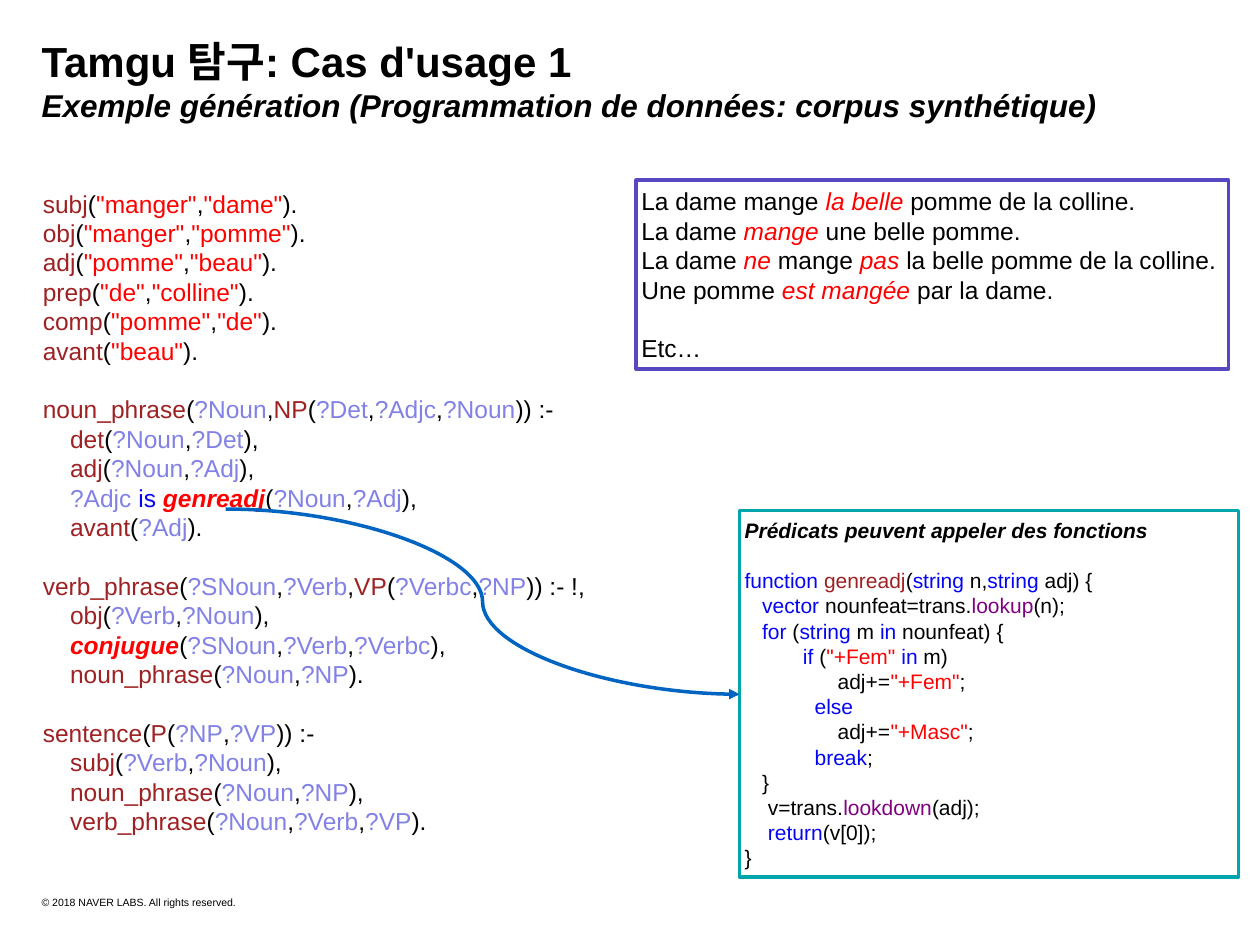
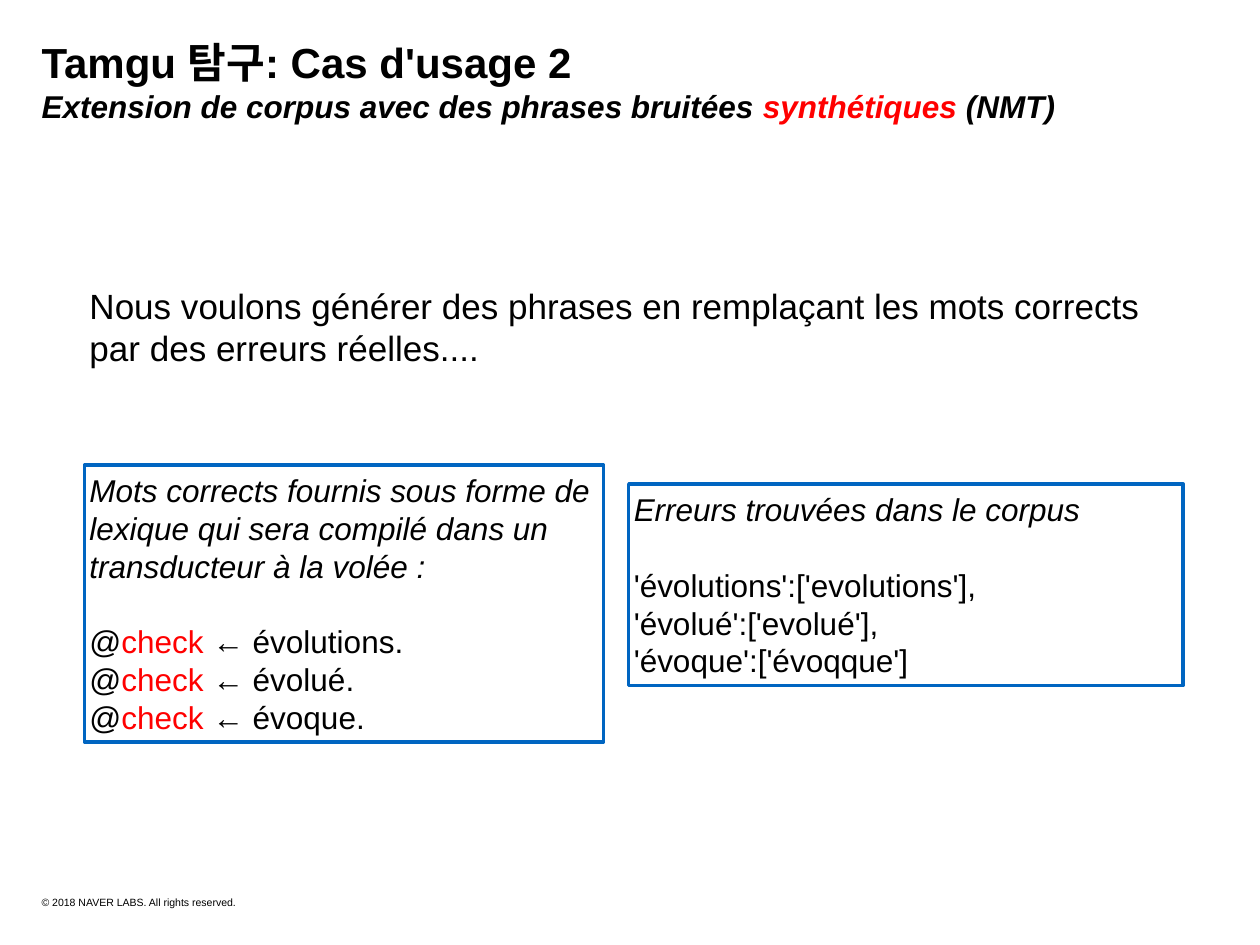
"""Build two slides on generating synthetic corpora with Tamgu."""
import pptx
import pptx.dml.color
import pptx.enum.shapes
import pptx.enum.text
import pptx.oxml
import pptx.oxml.ns
import pptx.util

Inches, Pt = pptx.util.Inches, pptx.util.Pt
ANCHOR = pptx.enum.text.MSO_ANCHOR

BLACK, WHITE, RED = "000000", "FFFFFF", "FF0000"
BLUE, PURPLE, TEAL = "0065C1", "5747C1", "00A6AC"

# Each tag "<key text>" maps to colour, bold, italic.
STYLES = {
    "": (BLACK, False, False),
    "m": ("9E2123", False, False),
    "s": (RED, False, False),
    "v": ("8282E6", False, False),
    "k": ("0505F5", False, False),
    "f": ("800080", False, False),
    "i": (RED, False, True),
    "n": (BLACK, False, True),
    "b": (BLACK, True, False),
    "h": (BLACK, True, True),
    "e": (RED, True, True),
}


def rgb(value):
    """Turn a hex string into a colour."""
    return pptx.dml.color.RGBColor.from_string(value)


def write(tf, lines, size, inset=0.04, anchor=ANCHOR.MIDDLE, first_size=None):
    """Fill a text frame with tagged lines; an empty line becomes space before the next."""
    tf.word_wrap = True
    tf.auto_size = pptx.enum.text.MSO_AUTO_SIZE.NONE
    tf.vertical_anchor = anchor
    tf.margin_left = tf.margin_right = tf.margin_top = tf.margin_bottom = Inches(inset)
    gap = 0
    p = None
    for line in lines:
        if not line:
            gap = 1.2 * size
            continue
        pt = first_size if first_size and p is None else size
        p = tf.paragraphs[0] if p is None else tf.add_paragraph()
        p.alignment = pptx.enum.text.PP_ALIGN.LEFT
        p.line_spacing = Pt(1.2 * pt)
        p.space_before = Pt(gap)
        gap = 0
        plain, *tagged = line.split("<")
        pieces = [("", plain)]
        for piece in tagged:
            tag, _, rest = piece.partition(">")
            pieces += [(tag[0], tag[2:]), ("", rest)]
        for key, text in pieces:
            if text:
                r = p.add_run()
                r.text = text
                r.font.name = "Arial"
                r.font.size = Pt(pt)
                colour, r.font.bold, r.font.italic = STYLES[key]
                r.font.color.rgb = rgb(colour)


RULES = """<m subj>(<s "manger">,<s "dame">).
<m obj>(<s "manger">,<s "pomme">).
<m adj>(<s "pomme">,<s "beau">).
<m prep>(<s "de">,<s "colline">).
<m comp>(<s "pomme">,<s "de">).
<m avant>(<s "beau">).

<m noun_phrase>(<v ?Noun>,<m NP>(<v ?Det>,<v ?Adjc>,<v ?Noun>)) :-
    <m det>(<v ?Noun>,<v ?Det>),
    <m adj>(<v ?Noun>,<v ?Adj>),
    <v ?Adjc ><k is ><e genreadj>(<v ?Noun>,<v ?Adj>),
    <m avant>(<v ?Adj>).

<m verb_phrase>(<v ?SNoun>,<v ?Verb>,<m VP>(<v ?Verbc>,<v ?NP>)) :- !,
    <m obj>(<v ?Verb>,<v ?Noun>),
    <e conjugue>(<v ?SNoun>,<v ?Verb>,<v ?Verbc>),
    <m noun_phrase>(<v ?Noun>,<v ?NP>).

<m sentence>(<m P>(<v ?NP>,<v ?VP>)) :-
    <m subj>(<v ?Verb>,<v ?Noun>),
    <m noun_phrase>(<v ?Noun>,<v ?NP>),
    <m verb_phrase>(<v ?Noun>,<v ?Verb>,<v ?VP>)."""

SENTENCES = """La dame mange <i la belle >pomme de la colline.
La dame <i mange >une belle pomme.
La dame <i ne >mange <i pas> la belle pomme de la colline.
Une pomme <i est mangée> par la dame.

Etc…"""

FUNCTION = """<h Prédicats peuvent appeler des fonctions>

<k function ><m genreadj>(<k string> n,<k string> adj) {
   <k vector> nounfeat=trans.<f lookup>(n);
   <k for> (<k string> m <k in> nounfeat) {
          <k if> (<s "+Fem" ><k in> m)
                adj+=<s "+Fem">;
            <k else>
                adj+=<s "+Masc">;
            <k break>;
   }
    v=trans.<f lookdown>(adj);
    <k return>(v[0]);
}"""

INTRO = ("Nous voulons générer des phrases en remplaçant les mots corrects "
         "par des erreurs réelles....")

LEXICON = """<n Mots corrects fournis sous forme de lexique qui sera compilé dans un transducteur à la volée :>

@<s check> ← évolutions.
@<s check> ← évolué.
@<s check> ← évoque."""

ERRORS = """<n Erreurs trouvées dans le corpus>

'évolutions':['evolutions'],
'évolué':['evolué'],
'évoque':['évoqque']"""

SLIDES = [
    ("Exemple génération (Programmation de données: corpus synthétique)", 0.25, [
        (RULES, 14, None, (0.3, 1.43, 4.6, 5.27)),
        (SENTENCES, 14, PURPLE, (5.05, 1.43, 4.7, 1.5)),
        (FUNCTION, 12, TEAL, (5.87, 4.05, 3.96, 2.91)),
    ]),
    ("Extension de corpus avec des phrases bruitées ><e synthétiques><h  (NMT)", 0.26, [
        (INTRO, 20, None, (0.67, 2.21, 8.49, 0.76)),
        (LEXICON, 18, BLUE, (0.67, 3.69, 4.12, 2.2)),
        (ERRORS, 18, BLUE, (4.99, 3.84, 4.4, 1.6)),
    ]),
]

prs = pptx.Presentation()
prs.slide_width, prs.slide_height = Inches(10), Inches(7.5)

for number, (subtitle, top, boxes) in enumerate(SLIDES, 1):
    s = prs.slides.add_slide(prs.slide_layouts[5])
    title = s.shapes.title
    title.left, title.top = Inches(0.3), Inches(top)
    title.width, title.height = Inches(9.53), Inches(0.77)
    heading = [f"<b Tamgu 탐구: Cas d'usage {number}>", f"<h {subtitle}>"]
    write(title.text_frame, heading, 18, 0.03, ANCHOR.TOP, first_size=24)

    footer = s.shapes.add_textbox(Inches(0.3), Inches(7.08), Inches(2.18), Inches(0.14))
    write(footer.text_frame, ["© 2018 NAVER LABS. All rights reserved."], 6, 0.03, ANCHOR.TOP)

    for text, size, border, place in boxes:
        place = [Inches(v) for v in place]
        if border:
            sp = s.shapes.add_shape(pptx.enum.shapes.MSO_SHAPE.RECTANGLE, *place)
            sp.shadow.inherit = False
            sp.fill.solid()
            sp.fill.fore_color.rgb = rgb(WHITE)
            sp.line.color.rgb = rgb(border)
            sp.line.width = Pt(2)
        else:
            sp = s.shapes.add_textbox(*place)
        write(sp.text_frame, text.split("\n"), size)

arrow = prs.slides[0].shapes.add_connector(
    pptx.enum.shapes.MSO_CONNECTOR.CURVE,
    Inches(1.79), Inches(4.04), Inches(5.87), Inches(5.51))
arrow.line.color.rgb = rgb(BLUE)
arrow.line.width = Pt(2)
tail = pptx.oxml.parse_xml(f'<a:tailEnd {pptx.oxml.ns.nsdecls("a")} type="triangle"/>')
arrow.line._get_or_add_ln().append(tail)
effects = pptx.oxml.parse_xml(f'<a:effectLst {pptx.oxml.ns.nsdecls("a")}/>')
arrow._element.spPr.append(effects)

prs.save("out.pptx")
